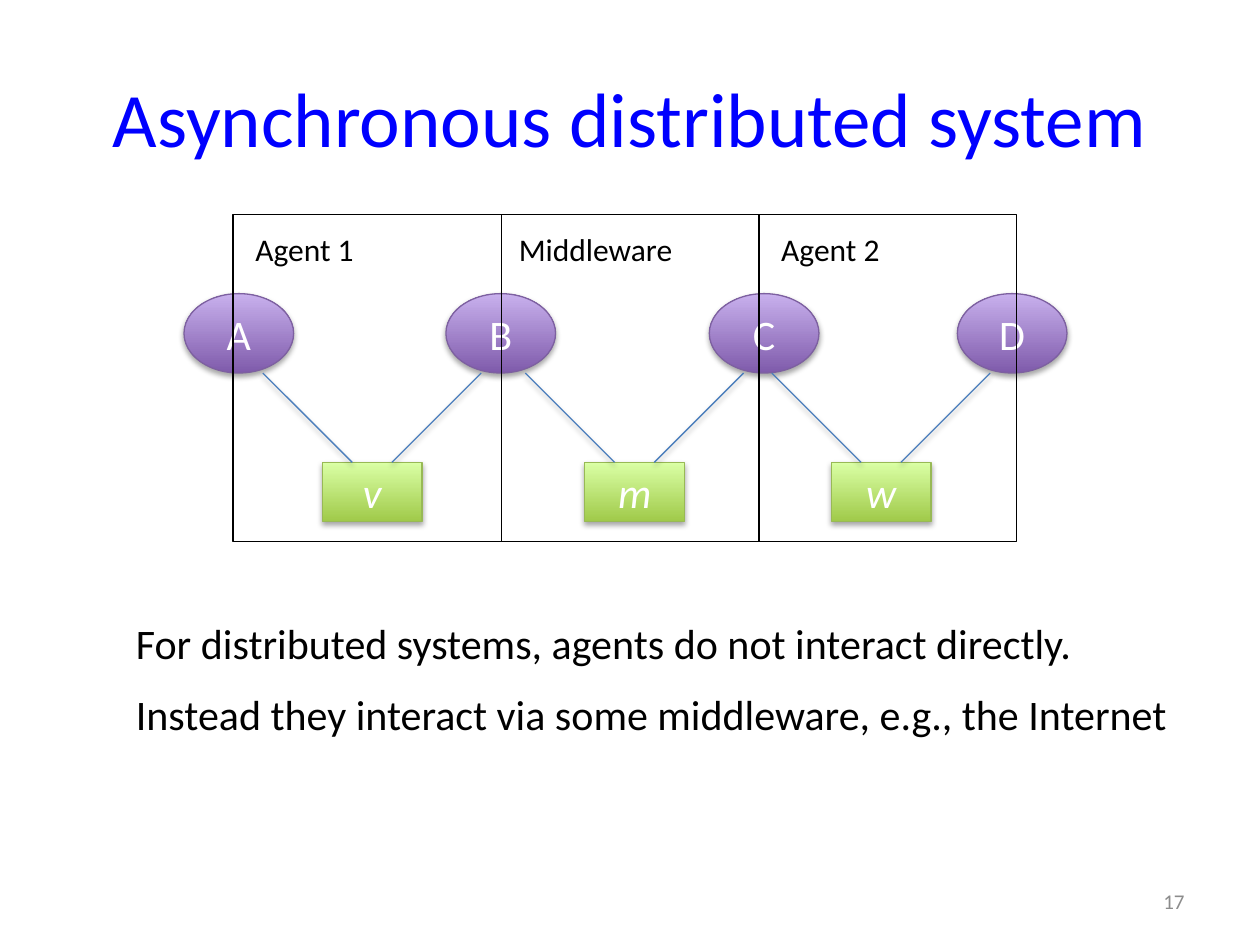
from pptx import Presentation
from pptx.dml.color import RGBColor
from pptx.enum.shapes import MSO_CONNECTOR, MSO_SHAPE
from pptx.enum.text import MSO_ANCHOR, PP_ALIGN
from pptx.oxml import parse_xml
from pptx.util import Cm, Pt

THEME = {
    "font": "Calibri",
    "title": {"size": 44, "color": "0000FF"},
    "body": {"size": 24, "color": "000000"},
    "label": {"size": 18, "color": "000000"},
    "node": {"size": 24, "color": "FFFFFF"},
    "variable": {"size": 24, "color": "FFFFFF", "italic": True},
    "number": {"size": 12, "color": "8C8C8C"},
    "agent": {"stops": ("7F5BAB", "C8B0ED"), "line": "7D60A0"},
    "store": {"stops": ("A0CA4A", "DAFFA5"), "line": "98B955"},
    "link": "4B7EBC",
    "frame": "000000",
    "line_width": 0.75,
}
SHADOW = (
    '<a:effectLst xmlns:a="http://schemas.openxmlformats.org/drawingml/2006/main">'
    '<a:outerShdw blurRad="40000" dist="23000" dir="5400000" rotWithShape="0">'
    '<a:srgbClr val="000000"><a:alpha val="35000"/></a:srgbClr>'
    '</a:outerShdw></a:effectLst>'
)


def write(box, lines, style, align=PP_ALIGN.LEFT, anchor=MSO_ANCHOR.TOP, wrap=True, before=0):
    frame = box.text_frame
    frame.word_wrap, frame.vertical_anchor = wrap, anchor
    for index, line in enumerate(lines):
        para = frame.add_paragraph() if index else frame.paragraphs[0]
        para.alignment, para.space_before = align, Pt(before)
        span = para.add_run()
        span.text = line
        look = THEME[style]
        span.font.color.rgb = RGBColor.from_string(look["color"])
        values = {"name": THEME["font"], "size": Pt(look["size"]), "italic": look.get("italic")}
        for name, value in values.items():
            setattr(span.font, name, value)


def outline(item, color, shaded=True):
    item.line.color.rgb = RGBColor.from_string(color)
    item.line.width = Pt(THEME["line_width"])
    if shaded:
        item._element.spPr.append(parse_xml(SHADOW))
    else:
        item.shadow.inherit = False


deck = Presentation()
deck.slide_width, deck.slide_height = Cm(25.4), Cm(19.05)
slide = deck.slides.add_slide(deck.slide_layouts[6])
shapes = slide.shapes

# Title
title = shapes.add_textbox(Cm(1.27), Cm(0.76), Cm(22.86), Cm(3.18))
write(title, ["Asynchronous distributed system"], "title", PP_ALIGN.CENTER, MSO_ANCHOR.MIDDLE)

# Agent ellipses and variable boxes
agent_top, agent_height, store_top = 5.92, 1.6, 9.32
agents = [(name, left, agent_top, 2.21, agent_height, MSO_SHAPE.OVAL, "agent", "node")
          for name, left in zip("ABCD", (3.71, 8.99, 14.3, 19.3))]
stores = [(name, left, store_top, 2.01, 1.19, MSO_SHAPE.RECTANGLE, "store", "variable")
          for name, left in zip("vmw", (6.5, 11.79, 16.76))]
for name, left, top, width, height, kind, paint, style in agents + stores:
    node = shapes.add_shape(kind, Cm(left), Cm(top), Cm(width), Cm(height))
    node.fill.gradient()
    node.fill.gradient_angle = 90
    for stop, color in zip(node.fill.gradient_stops, THEME[paint]["stops"]):
        stop.color.rgb = RGBColor.from_string(color)
    outline(node, THEME[paint]["line"])
    write(node, [name], style, PP_ALIGN.CENTER, MSO_ANCHOR.MIDDLE, wrap=False)

# Diagonal links from each variable up to its two neighbours
agent_bottom = agent_top + agent_height
rise = store_top - agent_bottom
for store in stores:
    for offset, run in ((0.6, -rise), (1.4, rise)):
        foot = store[1] + offset
        link = shapes.add_connector(MSO_CONNECTOR.STRAIGHT, Cm(foot + run), Cm(agent_bottom),
                                    Cm(foot), Cm(store_top))
        outline(link, THEME["link"])

# Frames with their labels
frames = [("Agent 1", 4.7, 5.41, 4.9, 2.7),
          ("Middleware", 10.11, 5.19, 10.21, 3.76),
          ("Agent 2", 15.3, 5.19, 15.5, 2.7)]
for name, left, width, label_left, label_width in frames:
    frame = shapes.add_shape(MSO_SHAPE.RECTANGLE, Cm(left), Cm(4.32), Cm(width), Cm(6.6))
    frame.fill.background()
    outline(frame, THEME["frame"], shaded=False)
    label = shapes.add_textbox(Cm(label_left), Cm(4.52), Cm(label_width), Cm(1.02))
    write(label, [name], "label", wrap=False)

# Explanation and slide number
explanation = shapes.add_textbox(Cm(2.49), Cm(12.32), Cm(21.64), Cm(2.82))
write(explanation, ["For distributed systems, agents do not interact directly.",
                    "Instead they interact via some middleware, e.g., the Internet"],
      "body", before=12)
number = shapes.add_textbox(Cm(18.2), Cm(17.65), Cm(5.93), Cm(1.02))
write(number, ["17"], "number", PP_ALIGN.RIGHT, MSO_ANCHOR.MIDDLE)

deck.save("out.pptx")
